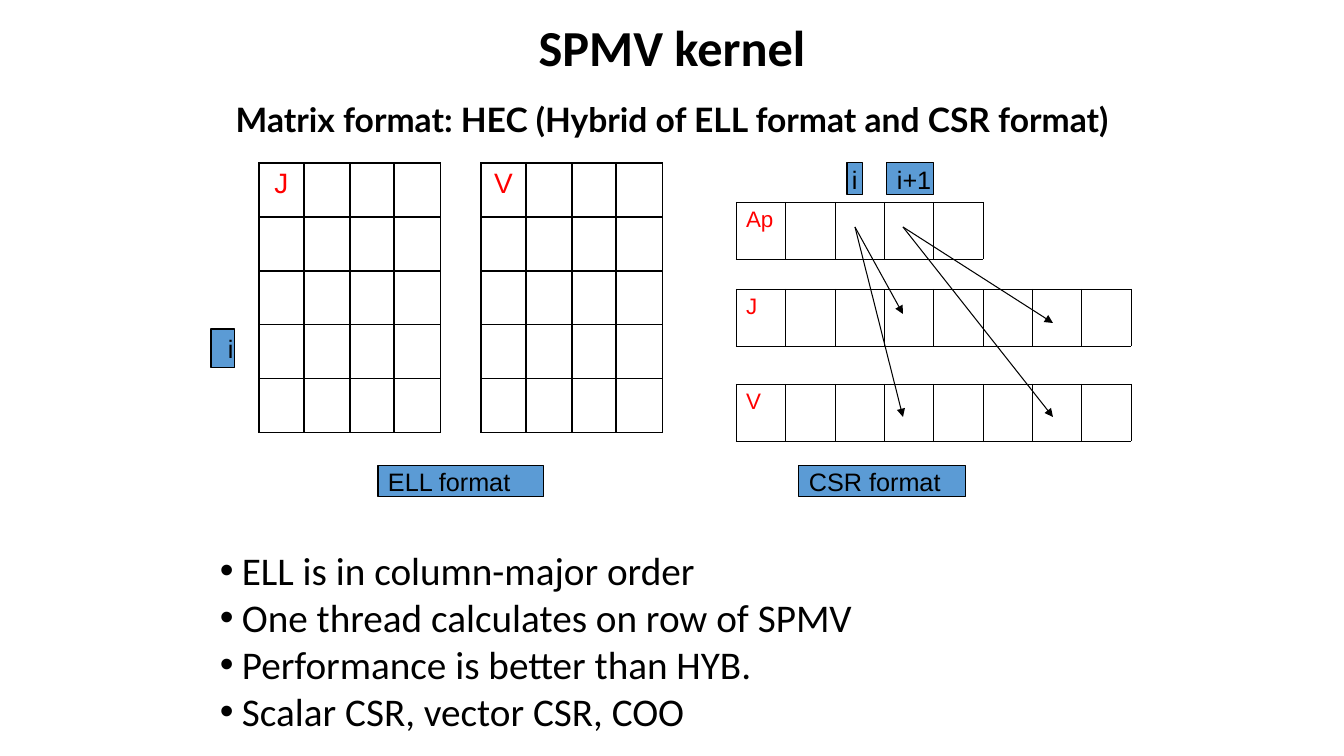
from pptx import Presentation
from pptx.dml.color import RGBColor
from pptx.enum.shapes import MSO_CONNECTOR, MSO_SHAPE
from pptx.enum.text import MSO_ANCHOR, PP_ALIGN
from pptx.oxml import parse_xml
from pptx.oxml.ns import nsdecls
from pptx.util import Pt

RECT = MSO_SHAPE.RECTANGLE
LINE = MSO_CONNECTOR.STRAIGHT
LEFT, CENTER = PP_ALIGN.LEFT, PP_ALIGN.CENTER
TOP, MIDDLE = MSO_ANCHOR.TOP, MSO_ANCHOR.MIDDLE
BLACK, RED, BLUE = "000000", "FF0000", "5B9BD5"
SCALE = 914400 / 100.8
NOTES = [
    "ELL is in column-major order",
    "One thread calculates on row of SPMV",
    "Performance is better than HYB.",
    "Scalar CSR, vector CSR, COO",
]


def px(n):
    return round(n * SCALE)


def paint(code):
    return RGBColor.from_string(code)


def style(para, size, color=BLACK, face="Arial", bold=False, align=LEFT):
    para.alignment = align
    for run in para.runs:
        font = run.font
        font.size, font.name, font.bold = Pt(size), face, bold
        font.color.rgb = paint(color)


def add_box(slide, box):
    frame = slide.shapes.add_textbox(*map(px, box)).text_frame
    frame.word_wrap = True
    frame.vertical_anchor = TOP
    return frame


def add_head(slide, box, text, size, face):
    para = add_box(slide, box).paragraphs[0]
    para.text = text
    style(para, size, face=face, bold=True, align=CENTER)


def add_label(slide, box, text, inset=10):
    shape = slide.shapes.add_shape(RECT, *map(px, box))
    shape.shadow.inherit = False
    shape.fill.solid()
    shape.fill.fore_color.rgb = paint(BLUE)
    shape.line.color.rgb = paint(BLACK)
    shape.line.width = Pt(0.75)
    frame = shape.text_frame
    frame.word_wrap = True
    frame.vertical_anchor = MIDDLE
    frame.margin_left = px(inset)
    frame.margin_right = frame.margin_top = frame.margin_bottom = 0
    frame.text = text
    style(frame.paragraphs[0], 18)


def add_border(cell, width):
    props = cell._tc.get_or_add_tcPr()
    for side in ("lnL", "lnR", "lnT", "lnB"):
        props.append(parse_xml(
            f'<a:{side} {nsdecls("a")} w="{Pt(width)}"><a:solidFill>'
            f'<a:srgbClr val="{BLACK}"/></a:solidFill></a:{side}>'))


def add_grid(slide, box, rows, widths, name, size, align, border):
    shape = slide.shapes.add_table(rows, len(widths), *map(px, box))
    table = shape.table
    table.first_row = table.horz_banding = False
    for col, width in zip(table.columns, widths):
        col.width = px(width)
    for row in table.rows:
        row.height = px(box[3] / rows)
    for cell in table.iter_cells():
        add_border(cell, border)
        cell.fill.background()
    first = table.cell(0, 0)
    first.text = name
    style(first.text_frame.paragraphs[0], size, RED, align=align)


def add_arrow(slide, start, end):
    arrow = slide.shapes.add_connector(LINE, *map(px, start + end))
    arrow.line.color.rgb = paint(BLACK)
    arrow.line.width = Pt(0.75)
    arrow.line._get_or_add_ln().append(
        parse_xml(f'<a:tailEnd {nsdecls("a")} type="triangle"/>'))
    arrow._element.spPr.append(parse_xml(f'<a:effectLst {nsdecls("a")}/>'))


def add_ell(slide, x, y):
    # Two equal grids: column indices and values
    for name, left in (("J", 48), ("V", 270)):
        add_grid(slide, (x + left, y, 182, 270), 5, (45, 46, 44, 47),
                 name, 20, CENTER, 1)
    # Row marker and caption
    add_label(slide, (x, y + 166, 24, 39), "i", 17)
    add_label(slide, (x + 167, y + 303, 166, 31), "ELL format")


def add_csr(slide, x, y):
    # Row pointers, column indices and values
    step = 49.4
    for name, top, count in (("Ap", 39, 5), ("J", 126, 8), ("V", 221, 8)):
        add_grid(slide, (x, y + top, count * step, 57), 1, [step] * count,
                 name, 16, LEFT, 0.25)
    # Pointers to the start and end of row i
    for left, right, drop in ((119, 167, 151), (167, 317, 160)):
        for down in (drop, 254):
            add_arrow(slide, (x + left, y + 64), (x + right, y + down))
    # Pointer names and caption
    add_label(slide, (x + 111, y, 16, 32), "i", 5)
    add_label(slide, (x + 151, y, 47, 32), "i+1")
    add_label(slide, (x + 63, y + 303, 167, 31), "CSR format")


def add_notes(slide, box):
    frame = add_box(slide, box)
    for k, note in enumerate(NOTES):
        para = frame.add_paragraph() if k else frame.paragraphs[0]
        para.text = note
        props = para._p.get_or_add_pPr()
        props.set("marL", str(px(22)))
        props.set("indent", str(-px(22)))
        props.append(parse_xml(f'<a:buFont {nsdecls("a")} typeface="Arial"/>'))
        props.append(parse_xml(f'<a:buChar {nsdecls("a")} char="•"/>'))
        style(para, 28, face="Calibri")


def main():
    deck = Presentation()
    deck.slide_width, deck.slide_height = px(1344), px(756)
    slide = deck.slides.add_slide(deck.slide_layouts[6])
    # Headings
    add_head(slide, (210, 11, 924, 67), "SPMV kernel", 36, "Calibri")
    add_head(slide, (196, 94, 952, 63),
             "Matrix format: HEC (Hybrid of ELL format and CSR format)",
             24, "Lato")
    # Matrix formats
    add_ell(slide, 211, 163)
    add_csr(slide, 736, 163)
    # Remarks
    add_notes(slide, (210, 541, 958, 198))
    deck.save("out.pptx")


if __name__ == "__main__":
    main()
